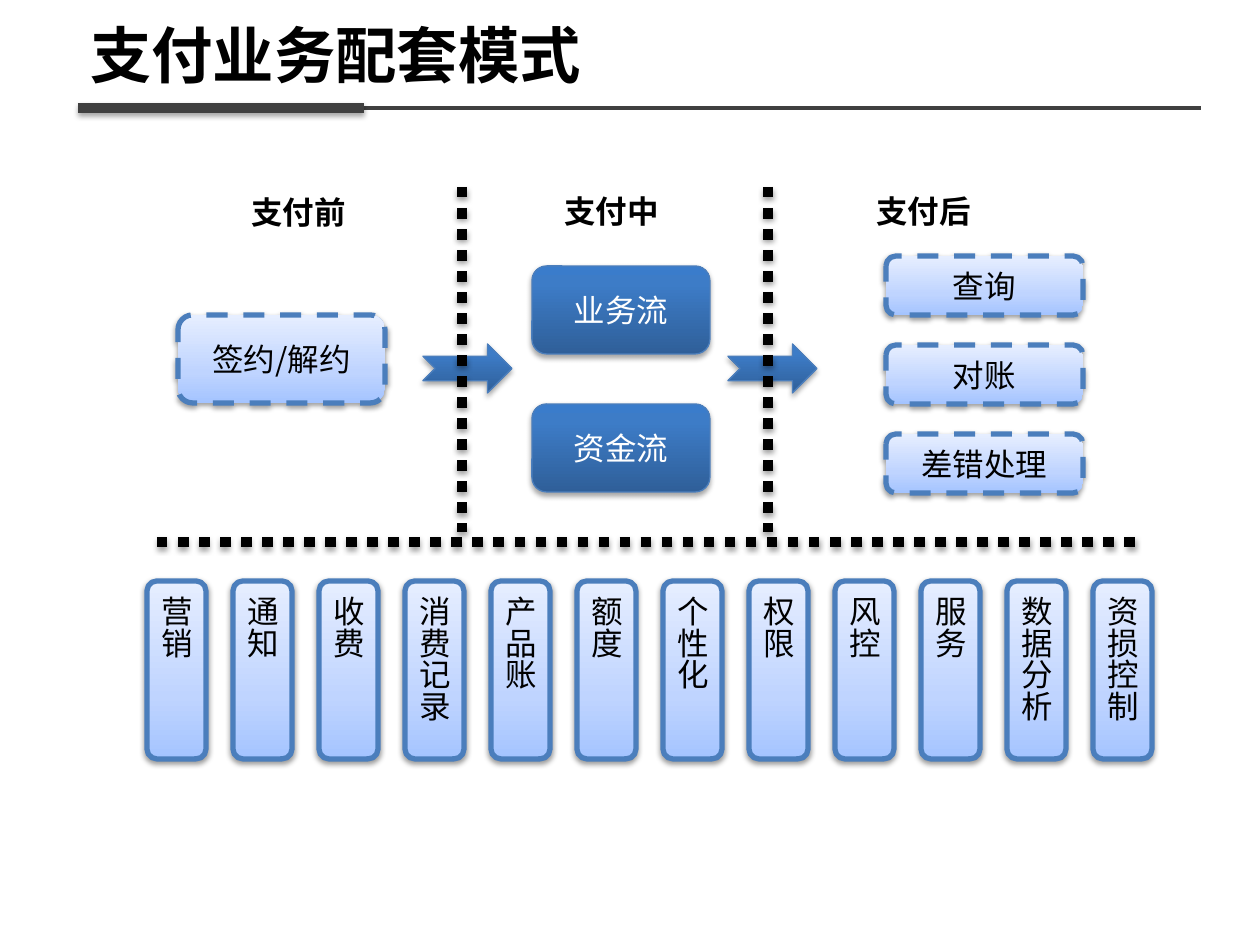
from pptx import Presentation
from pptx.dml.color import RGBColor
from pptx.enum.dml import MSO_LINE
from pptx.enum.shapes import MSO_CONNECTOR, MSO_SHAPE
from pptx.enum.text import MSO_ANCHOR, MSO_AUTO_SIZE, PP_ALIGN
from pptx.oxml import parse_xml
from pptx.oxml.ns import nsdecls, qn
from pptx.util import Pt

SCALE = 914400 // 126
FONT = "Noto Sans CJK SC"
HUES = {"black": "000000", "white": "FFFFFF", "gray": "404040", "edge": "4B7EBC"}
FADES = {
    "dark": [(0, "2F5F99"), (80, "3D7CC7"), (100, "3A7CCB")],
    "light": [(0, "A4C4FF"), (35, "BFD4FF"), (100, "E6EEFF")],
}


def px(*sizes):
    return [size * SCALE for size in sizes]


def hue(name):
    return RGBColor.from_string(HUES[name])


def write(frame, text, size=18, color="black", bold=False,
          align=PP_ALIGN.CENTER, space=None, anchor=MSO_ANCHOR.MIDDLE, wrap=True):
    frame.word_wrap = wrap
    frame.vertical_anchor = anchor
    para = frame.paragraphs[0]
    para.alignment = align
    para.line_spacing = space
    run = para.add_run()
    run.text = text
    font = run.font
    font.name, font.size, font.bold = FONT, Pt(size), bold
    font.color.rgb = hue(color)
    east = parse_xml(f'<a:ea {nsdecls("a")} typeface="{FONT}"/>')
    run._r.get_or_add_rPr().find(qn("a:latin")).addnext(east)


class Board:
    def __init__(self, slide):
        self.slide = slide
        self.shapes = slide.shapes

    def shade(self, item, alpha=35, drop=1.8):
        inner = ""
        if alpha:
            inner = (f'<a:outerShdw blurRad="{Pt(3.1)}" dist="{Pt(drop)}" dir="5400000" '
                     f'rotWithShape="0"><a:srgbClr val="{HUES["black"]}">'
                     f'<a:alpha val="{alpha * 1000}"/></a:srgbClr></a:outerShdw>')
        item._element.spPr.append(
            parse_xml(f'<a:effectLst {nsdecls("a")}>{inner}</a:effectLst>'))

    def fade(self, shape, tone):
        shape.fill.gradient()
        shape.fill.gradient_angle = 90
        stops = "".join(f'<a:gs pos="{pos * 1000}"><a:srgbClr val="{code}"/></a:gs>'
                        for pos, code in FADES[tone])
        old = shape._element.spPr.find(qn("a:gradFill")).find(qn("a:gsLst"))
        old.getparent().replace(
            old, parse_xml(f'<a:gsLst {nsdecls("a")}>{stops}</a:gsLst>'))

    def label(self, text, x, y, wide, high, grow=False, **form):
        box = self.shapes.add_textbox(*px(x, y, wide, high))
        if grow:
            box.text_frame.auto_size = MSO_AUTO_SIZE.SHAPE_TO_FIT_TEXT
        write(box.text_frame, text, bold=True, **form)

    def line(self, x1, y1, x2, y2, color="black", width=6, dash=None, alpha=35):
        rule = self.shapes.add_connector(MSO_CONNECTOR.STRAIGHT, *px(x1, y1, x2, y2))
        rule.line.color.rgb = hue(color)
        rule.line.width = Pt(width)
        if dash:
            rule.line.dash_style = dash
        self.shade(rule, alpha)

    def block(self, x, y, wide, high, text="", tone="light", kind=MSO_SHAPE.ROUNDED_RECTANGLE,
              dash=None, tall=False):
        shape = self.shapes.add_shape(kind, *px(x, y, wide, high))
        light = tone == "light"
        self.fade(shape, tone)
        shape.line.color.rgb = hue("edge")
        shape.line.width = Pt(3 if light else 0.75)
        if dash:
            shape.line.dash_style = dash
        self.shade(shape, *((38, 1.6) if light else (35, 1.8)))
        if text:
            write(shape.text_frame, text, color="black" if light else "white")
        if tall:
            shape.text_frame._txBody.bodyPr.set("vert", "eaVert")


def main():
    deck = Presentation()
    deck.slide_width, deck.slide_height = px(1260, 945)
    board = Board(deck.slides.add_slide(deck.slide_layouts[6]))

    board.label("支付业务配套模式", 78, 18, 1119, 81, size=35.1,
                align=PP_ALIGN.LEFT, space=0.9)
    board.line(78, 108, 1201, 108, color="gray", width=2.25, alpha=0)
    board.line(78, 108, 364, 108, color="gray")

    for text, x, y in [("支付前", 238, 187), ("支付中", 551, 186), ("支付后", 863, 186)]:
        board.label(text, x, y, 121, 50, grow=True, anchor=MSO_ANCHOR.TOP, wrap=False)

    board.block(178, 315, 207, 88, "签约/解约", dash=MSO_LINE.DASH)
    for i, text in enumerate(["业务流", "资金流"]):
        board.block(532, 266 + 138 * i, 178, 88, text, tone="dark")
    for i, text in enumerate(["查询", "对账", "差错处理"]):
        board.block(886, 256 + 89 * i, 197, 59, text, dash=MSO_LINE.DASH)

    for x in (423, 728):
        board.block(x, 344, 89, 49, tone="dark", kind=MSO_SHAPE.NOTCHED_RIGHT_ARROW)
    for x in (462, 768):
        board.line(x, 187, x, 532, dash=MSO_LINE.ROUND_DOT)
    board.line(157, 542, 1142, 542, dash=MSO_LINE.ROUND_DOT)

    tools = ["营销", "通知", "收费", "消费记录", "产品账", "额度",
             "个性化", "权限", "风控", "服务", "数据分析", "资损控制"]
    for i, text in enumerate(tools):
        board.block(147 + 86 * i, 581, 59, 178, text, tall=True)

    deck.save("out.pptx")


if __name__ == "__main__":
    main()
